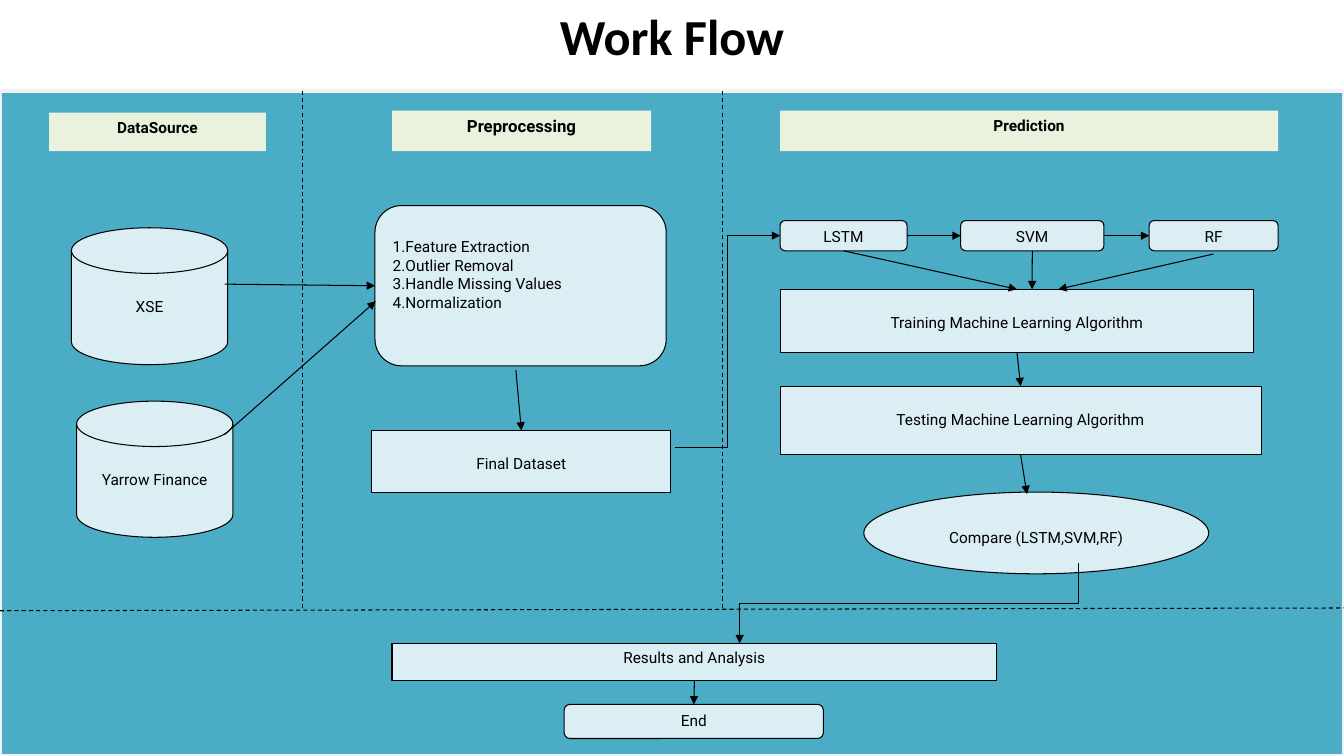
from dataclasses import dataclass

from lxml import etree
from pptx import Presentation
from pptx.dml.color import RGBColor
from pptx.enum.dml import MSO_LINE
from pptx.enum.shapes import MSO_CONNECTOR, MSO_SHAPE
from pptx.enum.text import MSO_ANCHOR, PP_ALIGN
from pptx.oxml.ns import qn
from pptx.util import Cm, Pt

RECT, ROUND = MSO_SHAPE.RECTANGLE, MSO_SHAPE.ROUNDED_RECTANGLE
DISK, STEP = MSO_SHAPE.FLOWCHART_MAGNETIC_DISK, MSO_SHAPE.FLOWCHART_PROCESS
OVAL = MSO_SHAPE.FLOWCHART_CONNECTOR
LINE, ELBOW = MSO_CONNECTOR.STRAIGHT, MSO_CONNECTOR.ELBOW
DASH = MSO_LINE.DASH
LEFT, CENTER = PP_ALIGN.LEFT, PP_ALIGN.CENTER
TOP, MIDDLE = MSO_ANCHOR.TOP, MSO_ANCHOR.MIDDLE


@dataclass(frozen=True)
class Theme:
    ink: str = "000000"
    panel: str = "4BACC6"
    edge: str = "F2F2F2"
    head: str = "EAF1DD"
    node: str = "DAEEF3"
    title_font: str = "Calibri"
    font: str = "Roboto"
    title: int = 36
    large: int = 12
    body: int = 11
    thin: float = 0.75
    thick: float = 3
    high: float = 0.13  # top inset of text in shallow boxes, cm
    low: float = 0.6    # top inset of text in tall boxes, cm


T = Theme()
WIDE, TALL = 33.87, 19.05
TITLE = "Work Flow"
PANEL = (0, 2.29, WIDE, 16.76)

# text, size, box (left, top, width, height in cm)
HEADS = [
    ("DataSource", T.body, (1.24, 2.84, 5.46, 0.97)),
    ("Preprocessing", T.large, (9.88, 2.79, 6.53, 1.02)),
    ("Prediction", T.body, (19.66, 2.79, 12.55, 1.02)),
]
CLEAN = ["1.Feature Extraction", "2.Outlier Removal",
         "3.Handle Missing Values", "4.Normalization"]

# name: kind, lines, box, top inset
NODES = {
    "market": (DISK, ["XSE"], (1.8, 5.74, 3.94, 3.45), T.low),
    "finance": (DISK, ["Yarrow Finance"], (1.93, 10.11, 3.94, 3.43), T.low),
    "clean": (ROUND, CLEAN, (9.45, 5.18, 7.34, 4.04), T.low),
    "final": (STEP, ["Final Dataset"], (9.37, 10.85, 7.54, 1.55), T.low),
    "train": (RECT, ["Training Machine Learning Algorithm"],
              (19.66, 7.29, 11.94, 1.6), T.low),
    "test": (STEP, ["Testing Machine Learning Algorithm"],
             (19.66, 9.73, 12.12, 1.73), T.low),
    "result": (RECT, ["Results and Analysis"],
               (9.88, 16.21, 15.24, 0.94), T.high),
    "end": (ROUND, ["End"], (14.22, 17.75, 6.53, 0.86), T.high),
    "lstm": (ROUND, ["LSTM"], (19.66, 5.56, 3.2, 0.76), T.high),
    "svm": (ROUND, ["SVM"], (24.21, 5.56, 3.61, 0.76), T.high),
    "rf": (ROUND, ["RF"], (28.96, 5.56, 3.25, 0.76), T.high),
    "compare": (OVAL, ["Compare (LSTM,SVM,RF)"],
                (21.77, 12.4, 8.69, 2.06), T.low),
}

# An end is a point in cm, or a node's name with its side number.
RULES = [
    ((7.62, 2.29), (7.62, 15.39)),
    ((18.21, 2.29), (18.21, 15.39)),
    ((0, 15.39), (WIDE, 15.32)),
]
ARROWS = [
    (LINE, (5.66, 7.16), ("clean", 1)),
    (LINE, (5.66, 10.95), (9.47, 7.59)),
    (LINE, (13, 9.32), ("final", 0)),
    (ELBOW, (17.02, 11.28), ("lstm", 1)),
    (LINE, ("lstm", 3), ("svm", 1)),
    (LINE, ("svm", 3), ("rf", 1)),
    (LINE, ("lstm", 2), ("train", 0)),
    (LINE, ("svm", 2), (26.01, 7.29)),
    (LINE, (30.58, 6.4), (26.67, 7.29)),
    (LINE, ("train", 2), ("test", 0)),
    (LINE, ("test", 2), (25.88, 12.45)),
    (LINE, ("result", 2), ("end", 0)),
]
REPORT = ((27.18, 14.2), (18.64, 16.21))


def rgb(code):
    return RGBColor.from_string(code)


def put(thing, **values):
    for key, value in values.items():
        setattr(thing, key, value)


def write(shape, lines, font=T.font, size=T.body, bold=False,
          align=CENTER, anchor=TOP, inset=T.high):
    frame = shape.text_frame
    put(frame, text="\n".join(lines), word_wrap=True, vertical_anchor=anchor,
        margin_top=Cm(inset), margin_bottom=Cm(T.high),
        margin_left=Cm(0.25), margin_right=Cm(0.25))
    for para in frame.paragraphs:
        para.alignment = align
        for run in para.runs:
            put(run.font, name=font, size=Pt(size), bold=bold)
            run.font.color.rgb = rgb(T.ink)


def draw(shapes, kind, box, fill, line=None, width=T.thin):
    shape = shapes.add_shape(kind, *map(Cm, box))
    shape.shadow.inherit = False
    shape.fill.solid()
    shape.fill.fore_color.rgb = rgb(fill)
    if line:
        shape.line.color.rgb = rgb(line)
        shape.line.width = Pt(width)
    else:
        shape.line.fill.background()
    return shape


def link(shapes, kind, start, stop, nodes, dash=None):
    """Draw a dashed rule, or an arrow when no dash is given."""
    free = [(0, 0) if isinstance(end[0], str) else end for end in (start, stop)]
    wire = shapes.add_connector(kind, *(Cm(n) for point in free for n in point))
    for end, join in ((start, wire.begin_connect), (stop, wire.end_connect)):
        if isinstance(end[0], str):
            join(nodes[end[0]], end[1])
    wire.line.color.rgb = rgb(T.ink)
    wire.line.width = Pt(T.thin)
    if dash:
        wire.line.dash_style = dash
    else:
        etree.SubElement(wire.line._get_or_add_ln(), qn("a:tailEnd"),
                         type="triangle")
    etree.SubElement(wire._element.spPr, qn("a:effectLst"))
    return wire


def drop(shapes, start, stop):
    """Draw an elbow going down, left, then down, as a quarter-turned one."""
    (x1, y1), (x2, y2) = start, stop
    midx, midy = (x1 + x2) / 2, (y1 + y2) / 2
    halfw, halfh = (y2 - y1) / 2, (x1 - x2) / 2
    wire = link(shapes, ELBOW, (midx - halfw, midy - halfh),
                (midx + halfw, midy + halfh), {})
    wire._element.spPr.find(qn("a:xfrm")).set("rot", str(90 * 60000))


def main():
    deck = Presentation()
    put(deck, slide_width=Cm(WIDE), slide_height=Cm(TALL))
    shapes = deck.slides.add_slide(deck.slide_layouts[5]).shapes
    put(shapes.title, left=0, top=0, width=Cm(WIDE), height=Cm(1.8))
    write(shapes.title, [TITLE], T.title_font, T.title, True, anchor=MIDDLE)

    draw(shapes, RECT, PANEL, T.panel, T.edge, T.thick)
    for text, size, box in HEADS:
        write(draw(shapes, RECT, box, T.head), [text], size=size, bold=True)

    nodes = {}
    for name, (kind, lines, box, inset) in NODES.items():
        nodes[name] = draw(shapes, kind, box, T.node, T.ink)
        align = LEFT if len(lines) > 1 else CENTER
        write(nodes[name], lines, align=align, inset=inset)

    for start, stop in RULES:
        link(shapes, LINE, start, stop, nodes, DASH)
    for kind, start, stop in ARROWS:
        link(shapes, kind, start, stop, nodes)
    drop(shapes, *REPORT)
    deck.save("out.pptx")


if __name__ == "__main__":
    main()
